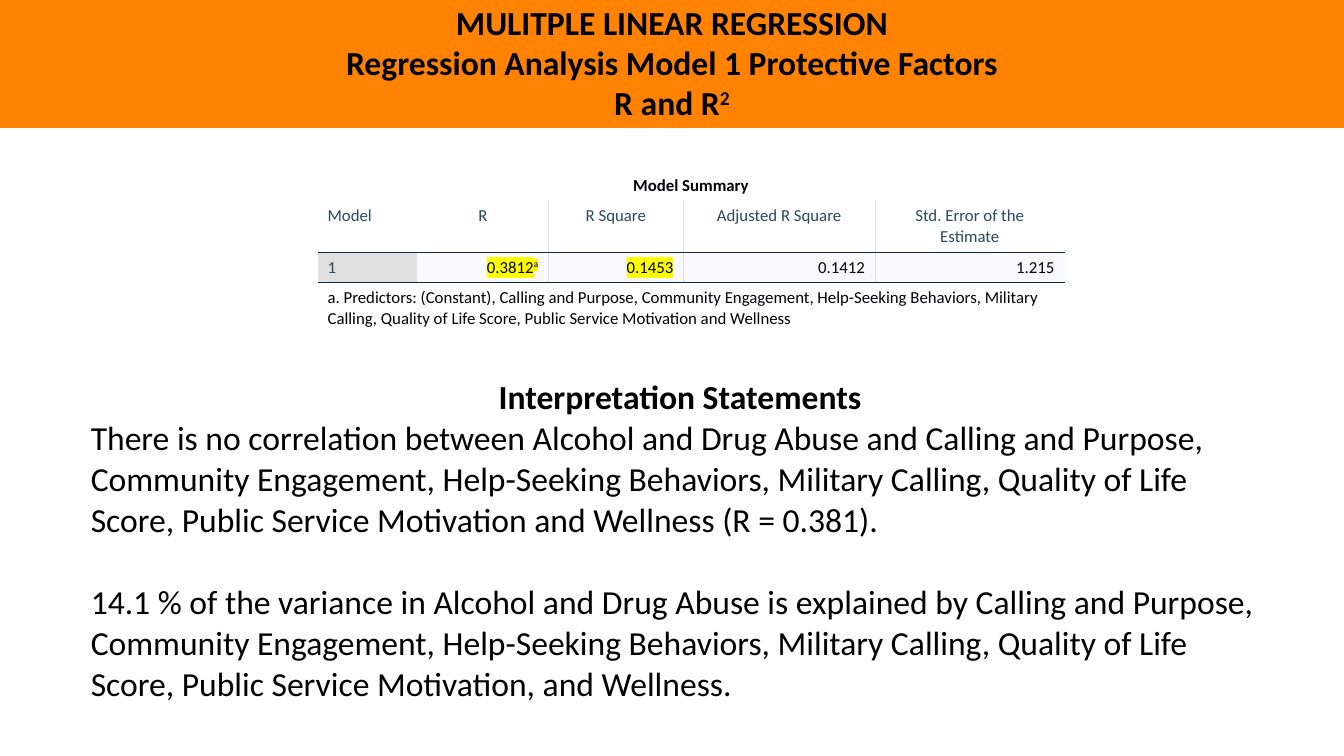
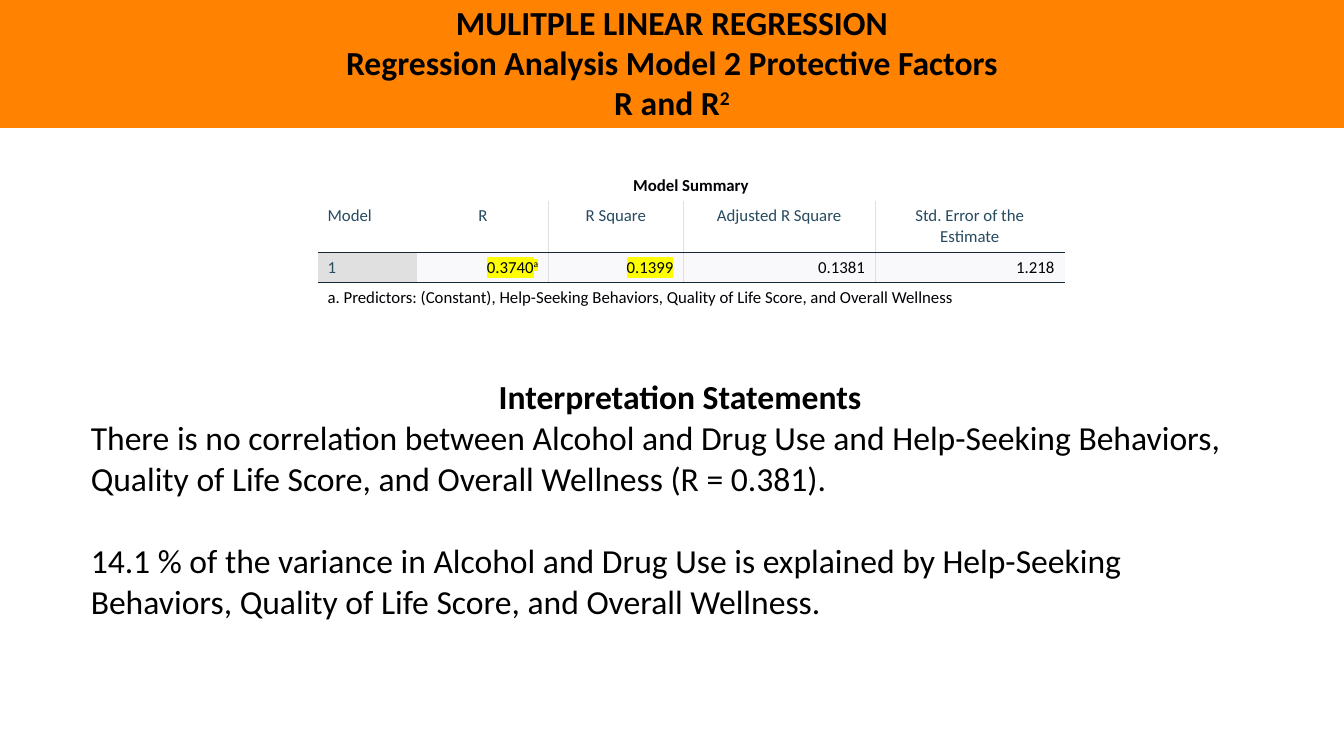
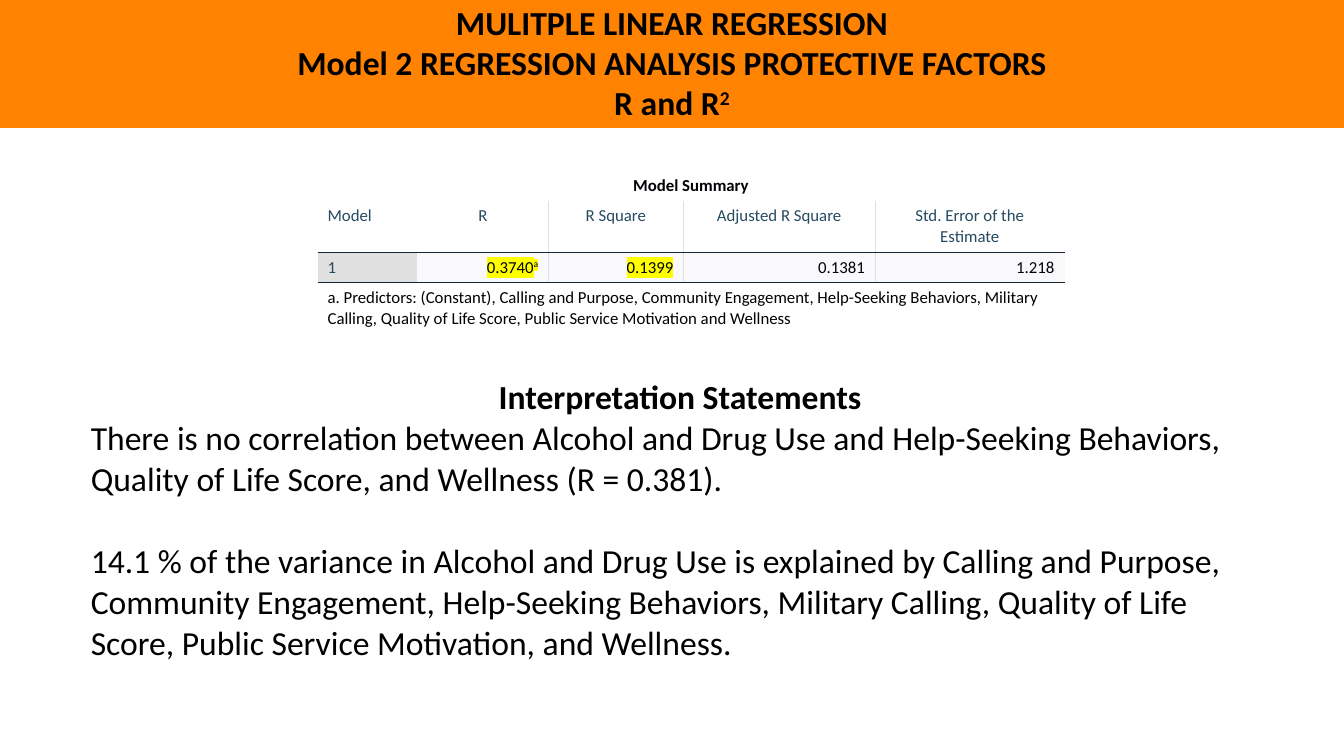
from dataclasses import dataclass

from lxml import etree
from pptx import Presentation
from pptx import util as u
from pptx.dml import color
from pptx.enum import text
from pptx.oxml import ns

Pt = u.Pt
ALIGN = text.PP_ALIGN


@dataclass(frozen=True)
class Theme:
    """Colours, font and type sizes (points) of the deck."""
    font: str = "Calibri"
    large: float = 24
    small: float = 12
    black: str = "000000"
    white: str = "FFFFFF"
    band: str = "FF8300"
    ink: str = "010205"
    label: str = "264A60"
    label_fill: str = "E0E0E0"
    value_fill: str = "F9F9FB"
    rule: str = "152935"
    divider: str = "E0E0E0"
    marker: str = "FFFF00"


@dataclass(frozen=True)
class Piece:
    """A stretch of text that may be raised or marked."""
    text: str
    raised: bool = False
    marked: bool = False


class Deck:
    SIZE = (960, 540)
    SUMMARY_COLUMNS = (71.3, 93.6, 96.5, 136.8, 135.4)
    HEADINGS = ("Model", "R", "R Square", "Adjusted R Square",
                "Std. Error of the Estimate")
    ONE_LINE, TWO_LINES = 21.8, 36.4

    def __init__(self, theme):
        self.theme = theme
        self.prs = Presentation()
        self.prs.slide_width, self.prs.slide_height = map(Pt, self.SIZE)
        self.slide = None

    # Text
    def set_text(self, paragraph, pieces, size, colour, bold=False, align=ALIGN.LEFT):
        paragraph.alignment = align
        font = paragraph.font
        font.name, font.size, font.bold = self.theme.font, Pt(size), bold
        font.color.rgb = color.RGBColor.from_string(colour)
        for piece in pieces:
            run = paragraph.add_run()
            run.text = piece.text
            if piece.raised:
                run.font._rPr.set("baseline", "30000")
            if piece.marked:
                highlight = etree.SubElement(run.font._rPr, ns.qn("a:highlight"))
                etree.SubElement(highlight, ns.qn("a:srgbClr"), val=self.theme.marker)

    # Table parts
    def add_table(self, left, top, widths, heights):
        frame = self.slide.shapes.add_table(
            len(heights), len(widths), Pt(left), Pt(top),
            Pt(sum(widths)), Pt(sum(heights)))
        table = frame.table
        table.first_row = table.horz_banding = False
        for column, width in zip(table.columns, widths):
            column.width = Pt(width)
        for row, height in zip(table.rows, heights):
            row.height = Pt(height)
        return table

    def dress_cell(self, cell, fill, borders, width):
        """Set the fill and the left, right, top and bottom borders."""
        properties = cell._tc.get_or_add_tcPr()
        for side, colour in zip("LRTB", borders):
            line = etree.SubElement(properties, ns.qn(f"a:ln{side}"), w=str(Pt(width)))
            if colour:
                solid = etree.SubElement(line, ns.qn("a:solidFill"))
                etree.SubElement(solid, ns.qn("a:srgbClr"), val=colour)
            else:
                etree.SubElement(line, ns.qn("a:noFill"))
        cell.fill.solid()
        cell.fill.fore_color.rgb = color.RGBColor.from_string(fill)

    # Slide elements
    def start_slide(self, subject):
        """Add a slide with the title band."""
        self.slide = self.prs.slides.add_slide(self.prs.slide_layouts[5])
        band = self.slide.shapes.title
        band.left, band.top, band.width, band.height = map(
            Pt, (0, -2.9, self.SIZE[0], 94.3))
        band.fill.solid()
        band.fill.fore_color.rgb = color.RGBColor.from_string(self.theme.band)
        frame = band.text_frame
        frame.auto_size = text.MSO_AUTO_SIZE.NONE
        frame.vertical_anchor = text.MSO_ANCHOR.MIDDLE
        lines = ([Piece("MULITPLE LINEAR REGRESSION")], [Piece(subject)],
                 [Piece("R and R"), Piece("2", raised=True)])
        for number, pieces in enumerate(lines):
            paragraph = frame.add_paragraph() if number else frame.paragraphs[0]
            self.set_text(paragraph, pieces, self.theme.large, self.theme.black,
                          True, ALIGN.CENTER)

    def add_statements(self, height, statements):
        theme = self.theme
        cell = self.add_table(56.2, 270, [859], [height]).cell(0, 0)
        self.dress_cell(cell, theme.white, [theme.white] * 4, 1)
        cell.margin_left = cell.margin_right = Pt(8.64)
        cell.margin_top = cell.margin_bottom = 0
        frame = cell.text_frame
        self.set_text(frame.paragraphs[0], [Piece("Interpretation Statements")],
                      theme.large, theme.black, True, ALIGN.CENTER)
        for number, statement in enumerate(statements):
            paragraph = frame.add_paragraph()
            if number:
                paragraph.space_before = Pt(29.3)
            self.set_text(paragraph, [Piece(statement)], theme.large, theme.black)

    def add_summary(self, values, predictors, note_height):
        theme = self.theme
        table = self.add_table(
            226.8, 121.7, self.SUMMARY_COLUMNS,
            (self.ONE_LINE, self.TWO_LINES, self.ONE_LINE, note_height))
        last = len(self.SUMMARY_COLUMNS) - 1

        # Fills and rules
        for r, row in enumerate(table.rows):
            inner = r in (1, 2)
            for c, cell in enumerate(row.cells):
                fill = theme.white
                if r == 2:
                    fill = theme.value_fill if c else theme.label_fill
                borders = (theme.divider if inner and c > 1 else None,
                           theme.divider if inner and 0 < c < last else None,
                           theme.rule if r > 1 else None,
                           theme.rule if inner else None)
                self.dress_cell(cell, fill, borders, 0.75)

        # Caption and note across all columns
        for r in (0, 3):
            table.cell(r, 0).merge(table.cell(r, last))

        def fill_in(r, c, pieces, colour, align=ALIGN.LEFT, bold=False):
            self.set_text(table.cell(r, c).text_frame.paragraphs[0], pieces,
                          theme.small, colour, bold, align)

        fill_in(0, 0, [Piece("Model Summary")], theme.ink, ALIGN.CENTER, True)
        for c, heading in enumerate(self.HEADINGS):
            fill_in(1, c, [Piece(heading)], theme.label,
                    ALIGN.CENTER if c else ALIGN.LEFT)
        fill_in(2, 0, [Piece("1")], theme.label)
        for c, value in enumerate(values, 1):
            pieces = [Piece(value, marked=c < 3)]
            if c == 1:
                pieces.append(Piece("a", raised=True, marked=True))
            fill_in(2, c, pieces, theme.ink, ALIGN.RIGHT)
        fill_in(3, 0, [Piece(f"a. Predictors: (Constant), {predictors}")], theme.ink)


# Content
SEVEN = ("Calling and Purpose, Community Engagement, Help-Seeking Behaviors, "
         "Military Calling, Quality of Life Score, Public Service Motivation")
THREE = "Help-Seeking Behaviors, Quality of Life Score, and"
MODEL_1 = ("0.3812", "0.1453", "0.1412", "1.215")
MODEL_2 = ("0.3740", "0.1399", "0.1381", "1.218")

# Subject, values, predictors, note height, outcome, correlated, explaining, text height
SLIDES = (
    ("Regression Analysis Model 1 Protective Factors", MODEL_1,
     f"{SEVEN} and Wellness", Deck.TWO_LINES, "Alcohol and Drug Abuse",
     f"{SEVEN} and Wellness", f"{SEVEN}, and Wellness", 259.2),
    ("Regression Analysis Model 2 Protective Factors", MODEL_2,
     f"{THREE} Overall Wellness", Deck.ONE_LINE, "Alcohol and Drug Use",
     f"{THREE} Overall Wellness", f"{THREE} Overall Wellness", 201.6),
    ("Model 2 REGRESSION ANALYSIS PROTECTIVE FACTORS", MODEL_2,
     f"{SEVEN} and Wellness", Deck.TWO_LINES, "Alcohol and Drug Use",
     f"{THREE} Wellness", f"{SEVEN}, and Wellness", 230.4),
)


def main():
    deck = Deck(Theme())
    for (subject, values, predictors, note_height,
         outcome, correlated, explaining, height) in SLIDES:
        deck.start_slide(subject)
        deck.add_statements(height, (
            f"There is no correlation between {outcome} and {correlated} (R = 0.381).",
            f"14.1 % of the variance in {outcome} is explained by {explaining}."))
        deck.add_summary(values, predictors, note_height)
    deck.prs.save("out.pptx")


if __name__ == "__main__":
    main()
